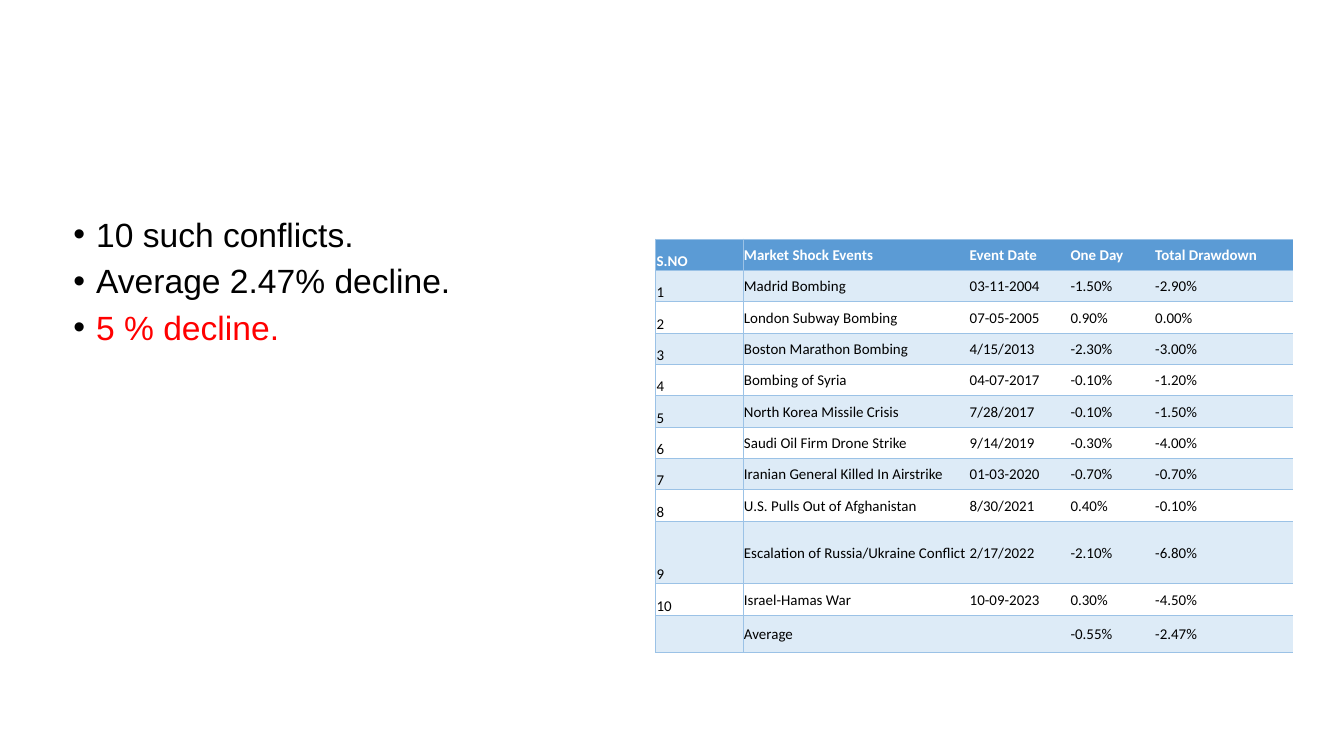
from dataclasses import dataclass

from lxml.etree import SubElement
from pptx import Presentation
from pptx.dml.color import RGBColor as Color
from pptx.enum.text import MSO_ANCHOR as Anchor, MSO_AUTO_SIZE as AutoSize
from pptx.oxml.ns import qn
from pptx.util import Inches, Pt


@dataclass(frozen=True)
class Theme:
    """Colours, fonts and type sizes of the slide."""
    black: str = "000000"
    white: str = "FFFFFF"
    accent: str = "FF0000"
    header: str = "5B9BD5"
    band: str = "DDEBF7"
    rule: str = "9BC2E6"
    list_font: str = "Arial"
    table_font: str = "Calibri"
    list_size: float = 18
    table_size: float = 8
    rule_width: float = 0.75


@dataclass(frozen=True)
class Point:
    """One bulleted statement."""
    text: str
    color: str


@dataclass(frozen=True)
class Event:
    """One row of the market shock table."""
    number: str
    name: str
    date: str
    one_day: str
    drawdown: str
    height: float = 1

    def texts(self) -> tuple:
        """Return the cell texts from left to right."""
        return self.number, self.name, self.date, self.one_day, self.drawdown


THEME = Theme()
WIDTH = Inches(10)
HEIGHT = WIDTH * 9 // 16
PLAIN_STYLE = "{2D5ABB26-0587-4C30-8999-92F81FD0307C}"
COLUMNS = (0.65, 1.68, 0.75, 0.63, 1.03)
TABLE_HEIGHT = 3.08
POINTS = (
    Point("10 such conflicts.", THEME.black),
    Point("Average 2.47% decline.", THEME.black),
    Point("5 % decline.", THEME.accent),
)
EVENTS = (
    Event("S.NO", "Market Shock Events", "Event Date", "One Day", "Total Drawdown"),
    Event("1", "Madrid Bombing", "03-11-2004", "-1.50%", "-2.90%"),
    Event("2", "London Subway Bombing", "07-05-2005", "0.90%", "0.00%"),
    Event("3", "Boston Marathon Bombing", "4/15/2013", "-2.30%", "-3.00%"),
    Event("4", "Bombing of Syria", "04-07-2017", "-0.10%", "-1.20%"),
    Event("5", "North Korea Missile Crisis", "7/28/2017", "-0.10%", "-1.50%"),
    Event("6", "Saudi Oil Firm Drone Strike", "9/14/2019", "-0.30%", "-4.00%"),
    Event("7", "Iranian General Killed In Airstrike", "01-03-2020", "-0.70%", "-0.70%"),
    Event("8", "U.S. Pulls Out of Afghanistan", "8/30/2021", "0.40%", "-0.10%"),
    Event("9", "Escalation of Russia/Ukraine Conflict", "2/17/2022", "-2.10%", "-6.80%", 2),
    Event("10", "Israel-Hamas War", "10-09-2023", "0.30%", "-4.50%"),
    Event("", "Average", "", "-0.55%", "-2.47%", 1.2),
)


def apply_format(target, values: dict) -> None:
    """Set each named attribute of the target."""
    for name, value in values.items():
        setattr(target, name, value)


def format_font(font, name: str, size: float, color: str, bold: bool = False) -> None:
    """Give a font its face, size, weight and colour."""
    apply_format(font, {"name": name, "size": Pt(size), "bold": bold})
    font.color.rgb = Color.from_string(color)


def add_color(parent, color: str) -> None:
    """Append an RGB colour element."""
    SubElement(parent, qn("a:srgbClr"), val=color)


def draw_points(shape, points: tuple) -> None:
    """Fill the body placeholder with bulleted statements."""
    apply_format(shape, {"left": Inches(0.45), "top": Inches(1.51),
                         "width": Inches(4.25), "height": Inches(3.57)})
    frame = shape.text_frame
    apply_format(frame, {"margin_left": Pt(5.4), "margin_right": Pt(5.4),
                         "margin_top": Pt(2.7), "margin_bottom": Pt(2.7),
                         "word_wrap": True, "auto_size": AutoSize.NONE,
                         "vertical_anchor": Anchor.TOP})
    for index, point in enumerate(points):
        paragraph = frame.paragraphs[0] if index == 0 else frame.add_paragraph()
        apply_format(paragraph, {"line_spacing": 1.15, "space_before": Pt(0),
                                 "space_after": Pt(0)})
        properties = paragraph._p.get_or_add_pPr()
        properties.set("marL", str(Inches(0.19)))
        properties.set("indent", str(Inches(-0.17)))
        add_color(SubElement(properties, qn("a:buClr")), THEME.black)
        SubElement(properties, qn("a:buFont"), typeface=THEME.list_font)
        SubElement(properties, qn("a:buChar"), char="•")
        run = paragraph.add_run()
        run.text = point.text
        format_font(run.font, THEME.list_font, THEME.list_size, point.color)


def draw_borders(cell, ruled: str) -> None:
    """Rule the listed sides of a cell and clear the others."""
    properties = cell._tc.get_or_add_tcPr()
    for side in "LRTB":
        line = SubElement(properties, qn(f"a:ln{side}"), w=str(Pt(THEME.rule_width)))
        if side in ruled:
            add_color(SubElement(line, qn("a:solidFill")), THEME.rule)
        else:
            SubElement(line, qn("a:noFill"))


def draw_cell(cell, text: str, row: int, column: int) -> None:
    """Format one cell according to its row and column."""
    apply_format(cell, {"margin_left": Pt(0.4), "margin_right": Pt(0.4),
                        "margin_top": Pt(0.4), "margin_bottom": 0,
                        "vertical_anchor": Anchor.MIDDLE if column else Anchor.BOTTOM})
    draw_borders(cell, {0: "LRTB", 1: "LTB"}.get(column, "TB"))
    is_header = row == 0
    if is_header or row % 2:
        cell.fill.solid()
        cell.fill.fore_color.rgb = Color.from_string(THEME.header if is_header else THEME.band)
    else:
        cell.fill.background()
    paragraph = cell.text_frame.paragraphs[0]
    if text:
        run = paragraph.add_run()
        run.text = text
        format_font(run.font, THEME.table_font, THEME.table_size,
                    THEME.white if is_header else THEME.black, is_header)
    else:
        SubElement(paragraph._p, qn("a:endParaRPr"), sz=str(THEME.table_size * 100))


def draw_events(slide, events: tuple) -> None:
    """Draw the market shock table."""
    frame = slide.shapes.add_table(len(events), len(COLUMNS), Inches(4.88), Inches(1.78),
                                   Inches(sum(COLUMNS)), Inches(TABLE_HEIGHT))
    table = frame.table
    apply_format(table, {"first_row": False, "horz_banding": False})
    table._tbl.tblPr[0].text = PLAIN_STYLE
    for column, width in zip(table.columns, COLUMNS):
        column.width = Inches(width)
    unit = TABLE_HEIGHT / sum(event.height for event in events)
    for row, event in enumerate(events):
        table.rows[row].height = Inches(unit * event.height)
        for column, text in enumerate(event.texts()):
            draw_cell(table.cell(row, column), text, row, column)


def main() -> None:
    """Build and save the presentation."""
    presentation = Presentation()
    apply_format(presentation, {"slide_width": WIDTH, "slide_height": HEIGHT})
    slide = presentation.slides.add_slide(presentation.slide_layouts[1])
    title = slide.shapes.title
    title._element.getparent().remove(title._element)
    draw_points(slide.placeholders[1], POINTS)
    draw_events(slide, EVENTS)
    presentation.save("out.pptx")


if __name__ == "__main__":
    main()
